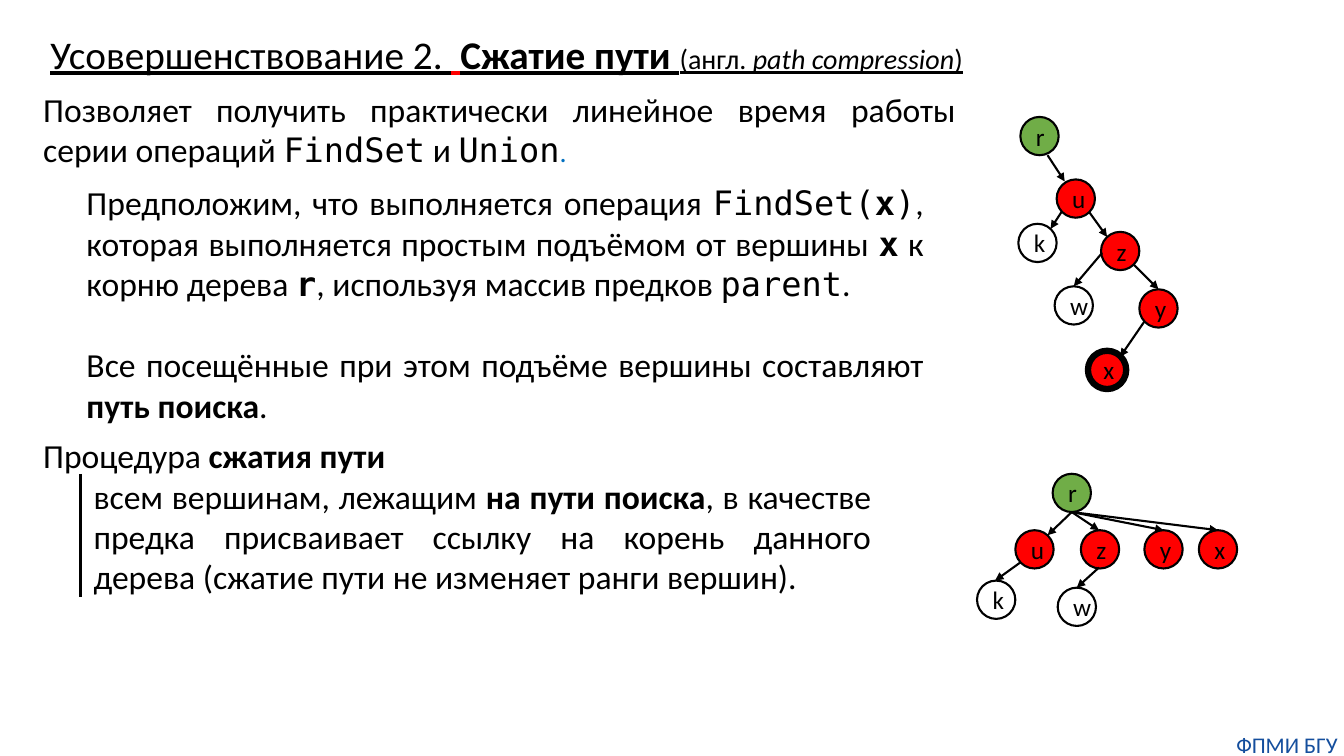
"""Builds the slide on path compression in disjoint-set trees."""
from dataclasses import dataclass

from lxml import etree
from pptx import Presentation
from pptx.dml.color import RGBColor
from pptx.enum import shapes, text
from pptx.oxml import ns
from pptx.util import Inches, Pt

BLACK = RGBColor(0x00, 0x00, 0x00)
RED = RGBColor(0xFF, 0x00, 0x00)
GREEN = RGBColor(0x70, 0xAD, 0x47)
BLUE = RGBColor(0x00, 0x70, 0xC0)
NAVY = RGBColor(0x14, 0x4E, 0x9D)
SANS = "Calibri"
MONO = "DejaVu Sans Mono"
NODE_SIZE = 0.38
LEFT, CENTER, JUSTIFY = (
    text.PP_ALIGN.LEFT, text.PP_ALIGN.CENTER, text.PP_ALIGN.JUSTIFY)


@dataclass(frozen=True)
class Span:
    text: str
    size: float = 24
    font: str = SANS
    color: RGBColor = BLACK
    bold: bool = False
    italic: bool = False
    underline: bool = False


@dataclass(frozen=True)
class Paragraph:
    spans: tuple[Span, ...]
    align: text.PP_ALIGN = JUSTIFY
    indent: float = 0
    before: float = 0


@dataclass(frozen=True)
class TextBlock:
    left: float
    top: float
    width: float
    height: float
    paragraphs: tuple[Paragraph, ...]
    inset: bool = True


@dataclass(frozen=True)
class Node:
    label: str
    left: float
    top: float
    fill: RGBColor | None = RED
    weight: float = 1.5


@dataclass(frozen=True)
class Edge:
    x1: float
    y1: float
    x2: float
    y2: float
    weight: float = 1.5
    arrow: bool = True


@dataclass(frozen=True)
class Tree:
    nodes: tuple[Node, ...]
    edges: tuple[Edge, ...]


def title_span(words: str, size: float = 28, **style) -> Span:
    return Span(words, size, underline=True, **style)


def code(words: str, bold: bool = False) -> Span:
    return Span(words, font=MONO, bold=bold)


TITLE = TextBlock(0.4, 0.25, 9.6, 0.57, (Paragraph((
    title_span("Усовершенствование 2. "),
    title_span(" ", color=RED),
    title_span("Сжатие пути", bold=True),
    title_span(" "),
    title_span("(англ. ", 20),
    title_span("path compression", 20, italic=True),
    title_span(")", 20)), LEFT),))

BLOCKS = (
    TextBlock(12.2, 7.25, 1.13, 0.27, (
        Paragraph((Span("ФПМИ БГУ", 16, color=NAVY),), CENTER),), inset=False),
    TextBlock(0.33, 4.27, 8.41, 1.72, (
        Paragraph((Span("Процедура "), Span("сжатия пути", bold=True))),
        Paragraph((
            Span("всем вершинам, лежащим "),
            Span("на пути поиска", bold=True),
            Span(", в качестве предка присваивает ссылку на корень данного "
                 "дерева (сжатие пути не изменяет ранги вершин).")), indent=0.5))),
    TextBlock(0.33, 0.83, 9.25, 0.91, (Paragraph((
        Span("Позволяет получить практически линейное время работы "
             "серии операций "),
        code("FindSet"), Span(" и "), code("Union"),
        Span(".", 20, color=BLUE))),)),
    TextBlock(0.26, 1.76, 9, 2.52, (
        Paragraph((
            Span("Предположим, что выполняется операция "),
            code("FindSet("), code("x", True), code(")"),
            Span(", которая выполняется простым подъёмом от вершины "),
            code("x", True), Span(" к корню дерева "), code("r", True),
            Span(", используя массив предков "), code("parent"), Span(".")),
            indent=0.5),
        Paragraph((
            Span("Все посещённые при этом подъёме вершины составляют "),
            Span("путь поиска", bold=True), Span(".")),
            indent=0.5, before=29.3))),
)

SEARCH_EDGE = Edge(11.35, 3.19, 11.11, 3.54)
SIDE_BAR = Edge(0.8, 4.7, 0.8, 5.92, weight=2.25, arrow=False)
SEARCH_TREE = Tree(
    (Node("x", 10.79, 3.48, weight=4.5), Node("r", 10.12, 1.16, GREEN),
     Node("k", 10.1, 2.22, None), Node("u", 10.48, 1.78),
     Node("z", 10.92, 2.3), Node("y", 11.3, 2.87),
     Node("w", 10.46, 2.84, None)),
    (Edge(10.53, 2.1, 10.42, 2.27), Edge(10.93, 2.51, 10.65, 2.84),
     Edge(11.24, 2.62, 11.49, 2.87), Edge(10.8, 2.1, 10.98, 2.35),
     Edge(10.39, 1.54, 10.56, 1.8)))
ROOT_TIP = (10.63, 5.08)
COMPRESSED_TREE = Tree(
    (Node("x", 11.89, 5.26), Node("r", 10.44, 4.7, GREEN),
     Node("k", 9.69, 5.76, None), Node("u", 10.07, 5.26),
     Node("z", 10.72, 5.26), Node("y", 11.35, 5.26),
     Node("w", 10.49, 5.83, None)),
    (*(Edge(*ROOT_TIP, x, y) for x, y in
       ((10.9, 5.26), (10.39, 5.31), (11.54, 5.26), (12.08, 5.26))),
     Edge(10.9, 5.63, 10.68, 5.83), Edge(10.12, 5.58, 9.87, 5.76)))


def write_paragraph(para, content: Paragraph) -> None:
    para.alignment = content.align
    if content.before:
        para.space_before = Pt(content.before)
    if content.indent:
        para.level = 1
        properties = para._p.get_or_add_pPr()
        properties.set("marL", str(Inches(content.indent)))
        properties.set("indent", "0")
    for span in content.spans:
        run = para.add_run()
        run.text = span.text
        font = run.font
        font.name, font.size = span.font, Pt(span.size)
        font.bold, font.italic = span.bold, span.italic
        font.underline = span.underline
        font.color.rgb = span.color


def fill_block(box, block: TextBlock) -> None:
    box.left, box.top = Inches(block.left), Inches(block.top)
    box.width, box.height = Inches(block.width), Inches(block.height)
    frame = box.text_frame
    frame.word_wrap = True
    frame.auto_size = text.MSO_AUTO_SIZE.SHAPE_TO_FIT_TEXT
    frame.vertical_anchor = text.MSO_ANCHOR.TOP
    if not block.inset:
        frame.margin_left = frame.margin_right = 0
        frame.margin_top = frame.margin_bottom = 0
    for index, content in enumerate(block.paragraphs):
        para = frame.add_paragraph() if index else frame.paragraphs[0]
        write_paragraph(para, content)


def draw_node(canvas, node: Node) -> None:
    circle = canvas.add_shape(
        shapes.MSO_SHAPE.OVAL, Inches(node.left), Inches(node.top),
        Inches(NODE_SIZE), Inches(NODE_SIZE))
    circle.shadow.inherit = False
    if node.fill is None:
        circle.fill.background()
    else:
        circle.fill.solid()
        circle.fill.fore_color.rgb = node.fill
    circle.line.color.rgb = BLACK
    circle.line.width = Pt(node.weight)
    circle.text_frame.word_wrap = True
    circle.text_frame.vertical_anchor = text.MSO_ANCHOR.MIDDLE
    write_paragraph(circle.text_frame.paragraphs[0],
                    Paragraph((Span(node.label, 18),), CENTER))


def draw_edge(canvas, edge: Edge) -> None:
    line = canvas.add_connector(
        shapes.MSO_CONNECTOR.STRAIGHT, Inches(edge.x1), Inches(edge.y1),
        Inches(edge.x2), Inches(edge.y2))
    line.line.color.rgb = BLACK
    line.line.width = Pt(edge.weight)
    if edge.arrow:
        outline = line.line._get_or_add_ln()
        etree.SubElement(outline, ns.qn("a:tailEnd"), type="triangle")
    etree.SubElement(line._element.spPr, ns.qn("a:effectLst"))


def draw_tree(canvas, tree: Tree) -> None:
    group = canvas.add_group_shape()
    for node in tree.nodes:
        draw_node(group.shapes, node)
    for edge in tree.edges:
        draw_edge(group.shapes, edge)


def main() -> None:
    deck = Presentation()
    deck.slide_width, deck.slide_height = Inches(13.33), Inches(7.5)
    page = deck.slides.add_slide(deck.slide_layouts[5])
    fill_block(page.shapes.title, TITLE)
    for block in BLOCKS:
        fill_block(page.shapes.add_textbox(0, 0, 0, 0), block)
    draw_edge(page.shapes, SEARCH_EDGE)
    for tree in (SEARCH_TREE, COMPRESSED_TREE):
        draw_tree(page.shapes, tree)
    draw_edge(page.shapes, SIDE_BAR)
    deck.save("out.pptx")


if __name__ == "__main__":
    main()
